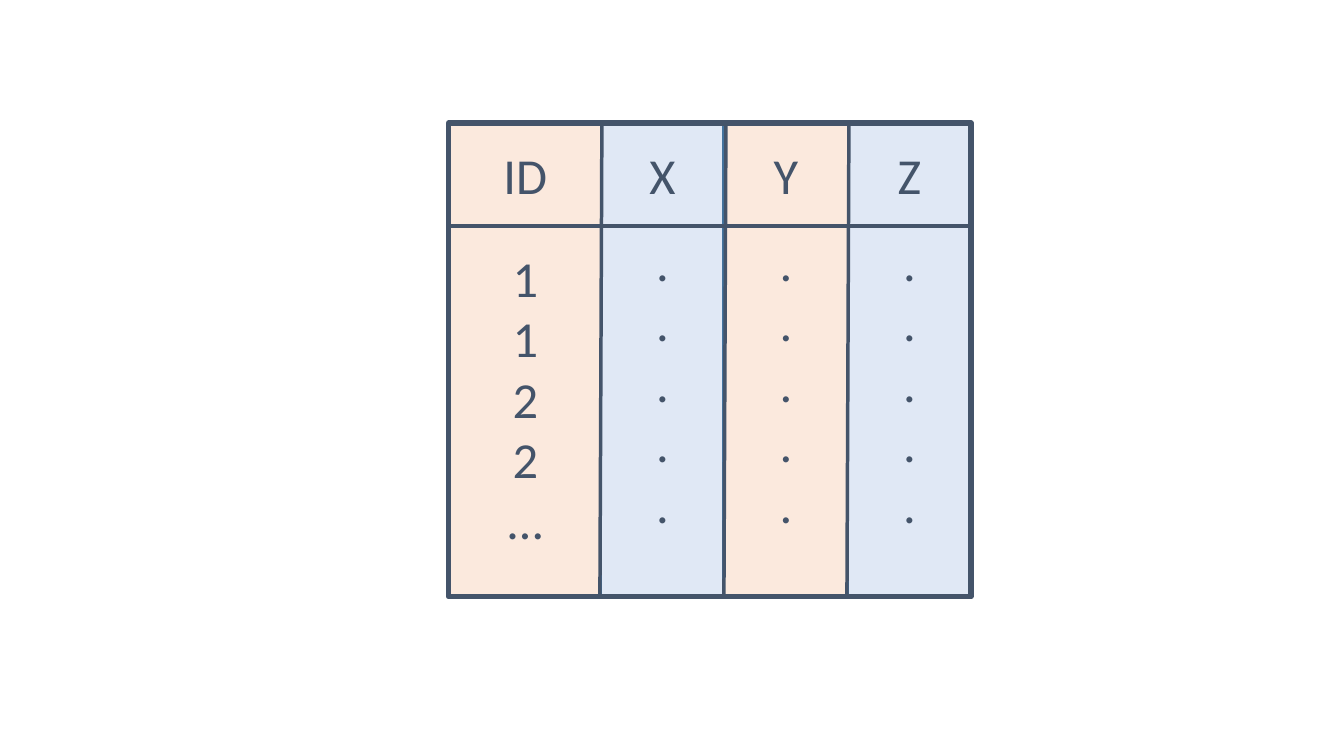
from lxml.etree import SubElement
from pptx import Presentation
from pptx.dml.color import RGBColor
from pptx.enum.shapes import MSO_CONNECTOR, MSO_SHAPE
from pptx.enum.text import MSO_AUTO_SIZE, PP_ALIGN
from pptx.oxml.ns import qn
from pptx.util import Inches, Pt

COLORS = {"ink": "44546A", "peach": "FBE5D6", "sky": "DAE3F3", "edge": "43739E"}
FONT, TEXT_SIZE = "Calibri", 36
FILL_OPACITY = 81
GRID_COLUMNS, GRID_ROWS = 518, 470
HEADER_ROWS = 102
DIVIDER_STARTS, DIVIDER_LEAN = (152, 275, 397), 2
HEADER_TOP, HEADER_HEIGHT = 16, 71
VALUES_HEIGHT = 313
ID_VALUES = ("1", "1", "2", "2", "…")
DOTS = (".",) * len(ID_VALUES)
DATA_COLUMNS = (
    ("ID", 0, 152, "peach", 64, ID_VALUES, 118, 55),
    ("X", 152, 120, "sky", 46, DOTS, 102, 33),
    ("Y", 273, 123, "peach", 45, DOTS, 102, 33),
    ("Z", 397, 120, "sky", 44, DOTS, 102, 33),
)


def rgb(name):
    """Look up a colour by its name."""
    return RGBColor.from_string(COLORS[name])


def add_panel(slide, box, line_color, line_width, fill=None):
    """Draw a rectangle, either translucent or without fill."""
    panel = slide.shapes.add_shape(MSO_SHAPE.RECTANGLE, *box)
    panel.shadow.inherit = False
    panel.line.color.rgb = rgb(line_color)
    panel.line.width = Pt(line_width)
    if fill is None:
        panel.fill.background()
        return
    panel.fill.solid()
    panel.fill.fore_color.rgb = rgb(fill)
    fill_color = panel._element.spPr.find(qn("a:solidFill")).find(qn("a:srgbClr"))
    SubElement(fill_color, qn("a:alpha"), val=str(FILL_OPACITY * 1000))


def add_divider(slide, start, end):
    """Draw one inner line of the table."""
    divider = slide.shapes.add_connector(MSO_CONNECTOR.STRAIGHT, *start, *end)
    divider.line.color.rgb = rgb("ink")
    divider.line.width = Pt(2.5)
    SubElement(divider._element.spPr, qn("a:effectLst"))


def add_entries(slide, box, entries):
    """Write centred entries, one to a paragraph."""
    frame = slide.shapes.add_textbox(*box).text_frame
    frame.text = "\n".join(entries)
    frame.word_wrap = False
    frame.auto_size = MSO_AUTO_SIZE.SHAPE_TO_FIT_TEXT
    for entry in frame.paragraphs:
        entry.alignment = PP_ALIGN.CENTER
        font = entry.runs[0].font
        font.name, font.size = FONT, Pt(TEXT_SIZE)
        font.color.rgb = rgb("ink")


def add_data_diagram(slide, left, top, width, height):
    """Place the striped data diagram in the given box."""

    def point(column, row):
        """Turn a grid position into a slide position."""
        return (
            left + round(width * column / GRID_COLUMNS),
            top + round(height * row / GRID_ROWS),
        )

    def area(column, row, columns, rows):
        """Turn a grid area into a slide box."""
        size = (
            round(width * columns / GRID_COLUMNS),
            round(height * rows / GRID_ROWS),
        )
        return point(column, row) + size

    for _, start, span, fill, *_ in DATA_COLUMNS:
        add_panel(slide, area(start, 0, span, GRID_ROWS), "edge", 0, fill)
    add_panel(slide, (left, top, width, height), "ink", 4)

    add_divider(slide, point(0, HEADER_ROWS), point(GRID_COLUMNS, HEADER_ROWS))
    for start in DIVIDER_STARTS:
        add_divider(slide, point(start, 0), point(start - DIVIDER_LEAN, GRID_ROWS))

    for header, start, span, _, header_span, values, values_top, values_span in DATA_COLUMNS:
        middle = start + span / 2
        header_left = middle - header_span / 2
        values_left = middle - values_span / 2
        add_entries(
            slide, area(header_left, HEADER_TOP, header_span, HEADER_HEIGHT), [header]
        )
        add_entries(
            slide, area(values_left, values_top, values_span, VALUES_HEIGHT), values
        )


def main():
    """Build the slide and save the presentation."""
    presentation = Presentation()
    presentation.slide_width = Inches(13.33)
    presentation.slide_height = Inches(7.5)
    slide = presentation.slides.add_slide(presentation.slide_layouts[6])
    add_data_diagram(slide, Inches(4.45), Inches(1.22), Inches(5.18), Inches(4.7))
    presentation.save("out.pptx")


main()
